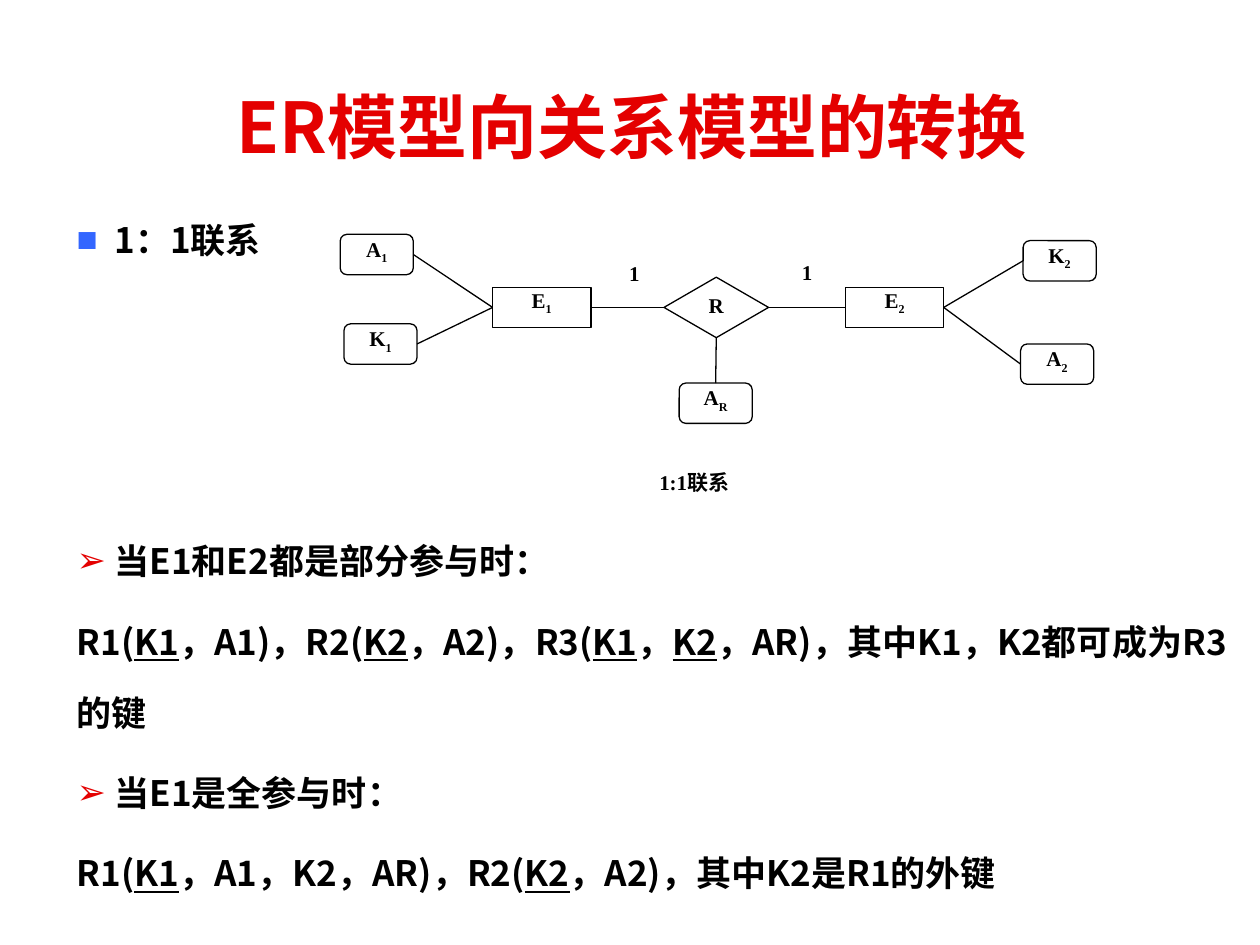
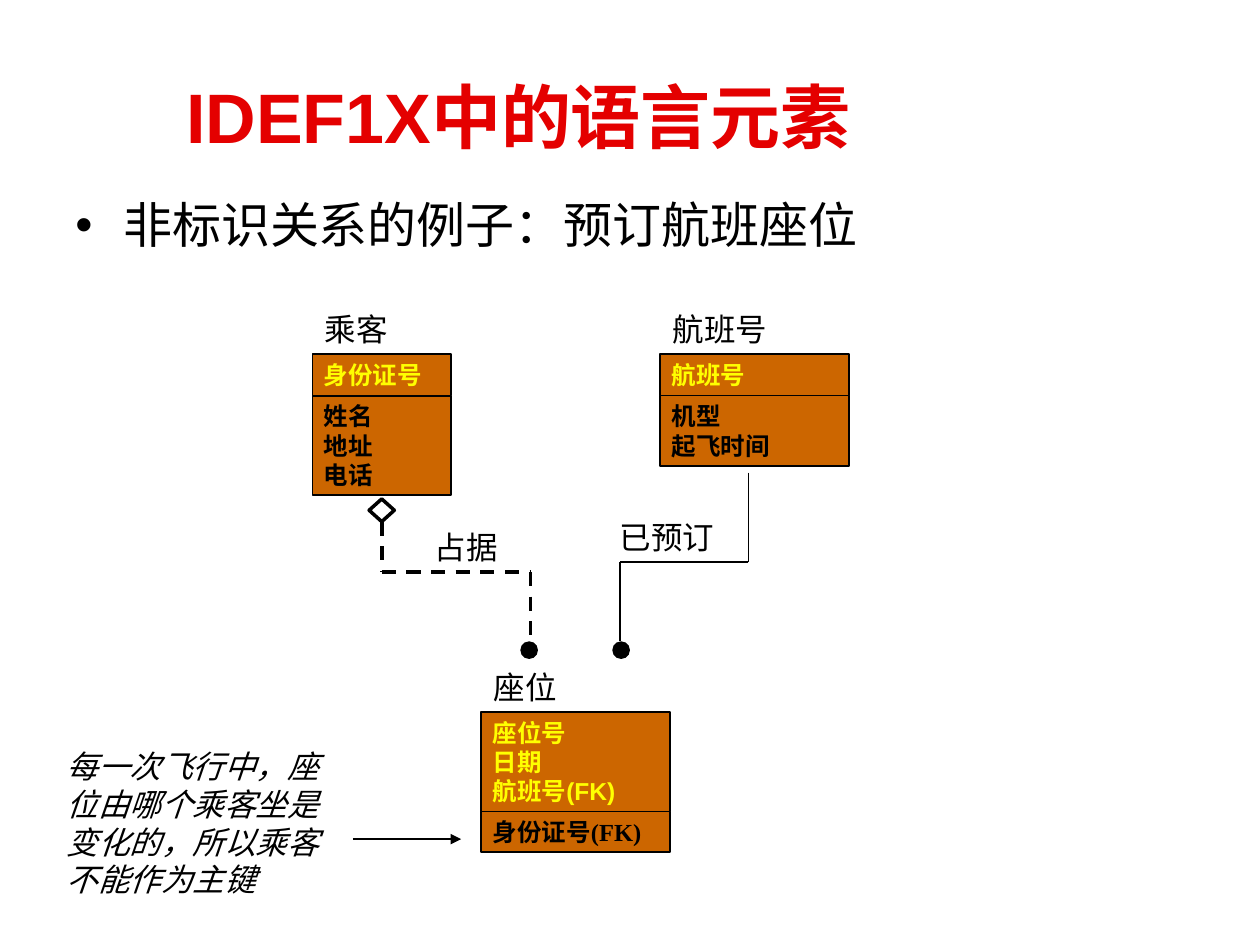
from itertools import pairwise
from lxml import etree
from pptx import Presentation
from pptx.dml.color import RGBColor
from pptx.enum.dml import MSO_LINE_DASH_STYLE as DASH
from pptx.enum.shapes import MSO_CONNECTOR as LINK, MSO_SHAPE as SHAPE
from pptx.enum.text import MSO_ANCHOR as ANCHOR, PP_ALIGN as ALIGN
from pptx.oxml.ns import qn
from pptx.util import Pt

PX = 9144
BLACK = RGBColor(0x00, 0x00, 0x00)
WHITE = RGBColor(0xFF, 0xFF, 0xFF)
RED = RGBColor(0xE4, 0x00, 0x00)
BLUE = RGBColor(0x33, 0x66, 0xFF)
ORANGE = RGBColor(0xCC, 0x66, 0x00)
YELLOW = RGBColor(0xFF, 0xFF, 0x00)
HEAVY = "Noto Sans CJK SC"
SERIF = "Times New Roman"
SANS = "Arial"


def add_box(page, kind, at, lines, size=12, font=SERIF, color=BLACK, bold=False,
            align=ALIGN.LEFT, anchor=ANCHOR.TOP, inset=(10, 5), fill=None,
            outline=None, mark="baseline", mark_value="-25000", bullets=None, indent=0):
    place = [length * PX for length in at]
    if kind is None:
        box = page.shapes.add_textbox(*place)
    else:
        box = page.shapes.add_shape(kind, *place)
        box.shadow.inherit = False
        box.fill.background()
        box.line.fill.background()
        if fill is not None:
            box.fill.solid()
            box.fill.fore_color.rgb = fill
        if outline:
            box.line.color.rgb = BLACK
            box.line.width = Pt(outline)
    frame = box.text_frame
    frame.word_wrap = True
    frame.vertical_anchor = anchor
    frame.margin_left = frame.margin_right = inset[0] * PX
    frame.margin_top = frame.margin_bottom = inset[1] * PX
    frame.text = "\n".join(line.replace("_", "") for line in lines)
    for para, line in zip(frame.paragraphs, lines):
        para.alignment = align
        parts = line.split("_")
        if len(parts) > 1:
            para.text = ""
            for part in parts:
                para.add_run().text = part
        for number, span in enumerate(para.runs):
            span.font.size = Pt(size)
            span.font.name = font
            span.font.bold = bold
            span.font.color.rgb = color
            etree.SubElement(span.font._element, qn("a:ea"), typeface=HEAVY)
            if number % 2:
                span.font._element.set(mark, mark_value)
        if bullets and line in bullets:
            symbol, tint = bullets[line]
            props = para._p.get_or_add_pPr()
            props.set("marL", str(indent * PX))
            props.set("indent", str(-indent * PX))
            holder = etree.SubElement(props, qn("a:buClr"))
            etree.SubElement(holder, qn("a:srgbClr"), val=str(tint))
            etree.SubElement(props, qn("a:buFont"), typeface=SANS)
            etree.SubElement(props, qn("a:buChar"), char=symbol)
    return box


def add_line(page, start, end, width=0.75):
    link = page.shapes.add_connector(LINK.STRAIGHT, *[v * PX for v in (*start, *end)])
    link.line.color.rgb = BLACK
    link.line.width = Pt(width)
    etree.SubElement(link._element.spPr, qn("a:effectLst"))
    return link


deck = Presentation()
deck.slide_width = 1000 * PX
deck.slide_height = 750 * PX
blank = deck.slide_layouts[6]
title_style = dict(size=40, color=RED, bold=True, anchor=ANCHOR.MIDDLE)

page = deck.slides.add_slide(blank)
rules = [
    "1：1联系",
    "当E1和E2都是部分参与时：",
    "R1(_K1_，A1)，R2(_K2_，A2)，R3(_K1_，_K2_，AR)，其中K1，K2都可成为R3的键",
    "当E1是全参与时：",
    "R1(_K1_，A1，K2，AR)，R2(_K2_，A2)，其中K2是R1的外键",
]
body = add_box(page, None, (51, 145, 949, 515), rules, 20, HEAVY, bold=True,
               mark="u", mark_value="sng", indent=30,
               bullets={rules[0]: ("■", BLUE), rules[1]: ("➢", RED), rules[3]: ("➢", RED)})
for para in body.text_frame.paragraphs:
    para.line_spacing = 1.7
    para.space_before = Pt(5)
body.text_frame.paragraphs[1].space_before = Pt(143)

node_style = dict(bold=True, align=ALIGN.CENTER, inset=(0, 0), fill=WHITE)
for label, at in [("1:1联系", (322, 373, 458, 39)),
                  ("1", (494, 207, 19, 32)),
                  ("1", (631, 206, 19, 32))]:
    add_box(page, SHAPE.RECTANGLE, at, [label], **node_style)

nodes = {}
for kind, width, height, places in [
    (SHAPE.RECTANGLE, 78, 32, {"E_1": (391, 228), "E_2": (671, 228)}),
    (SHAPE.DIAMOND, 83, 48, {"R": (527, 220)}),
    (SHAPE.ROUNDED_RECTANGLE, 58, 32, {
        "A_1": (270, 186), "K_1": (273, 257), "A_R": (539, 304),
        "K_2": (812, 191), "A_2": (810, 273)}),
]:
    for label, corner in places.items():
        nodes[label] = add_box(page, kind, (*corner, width, height), [label],
                               outline=0.75, **node_style)

for first, first_side, second, second_side in [
    ("E_1", 3, "R", 1), ("R", 3, "E_2", 1), ("R", 2, "A_R", 0),
    ("A_1", 3, "E_1", 1), ("K_1", 3, "E_1", 1),
    ("E_2", 3, "K_2", 1), ("E_2", 3, "A_2", 1),
]:
    link = add_line(page, (0, 0), (0, 0))
    link.begin_connect(nodes[first], first_side)
    link.end_connect(nodes[second], second_side)

add_box(page, None, (114, 60, 775, 80), ["ER模型向关系模型的转换"], font=HEAVY,
        align=ALIGN.CENTER, **title_style)

page = deck.slides.add_slide(blank)
add_box(page, None, (138, 52, 775, 80), ["IDEF1X中的语言元素"], font=SANS, **title_style)
topic = "非标识关系的例子：预订航班座位"
body = add_box(page, None, (50, 155, 900, 63), [topic], 28, HEAVY,
               bullets={topic: ("•", BLACK)}, indent=38)
body.text_frame.paragraphs[0].line_spacing = 0.9

remark = add_box(page, None, (43, 588, 228, 130),
                 ["每一次飞行中，座位由哪个乘客坐是变化的，所以乘客不能作为主键"], 18, SANS)
remark.text_frame.paragraphs[0].runs[0].font.italic = True

for name, left, top, width, keys, key_height, fields, field_height in [
    ("乘客", 248, 281, 110, ["身份证号"], 33, ["姓名", "地址", "电话"], 79),
    ("航班号", 524, 281, 150, ["航班号"], 33, ["机型", "起飞时间"], 56),
    ("座位", 382, 565, 150, ["座位号", "日期", "航班号(FK)"], 79, ["身份证号(FK)"], 32),
]:
    add_box(page, None, (left, top - 40, 110, 40), [name], 18, SANS)
    for lines, offset, height, color, font in [
        (keys, 0, key_height, YELLOW, SANS),
        (fields, key_height, field_height, BLACK, SERIF),
    ]:
        add_box(page, SHAPE.RECTANGLE, (left, top + offset, width, height), lines, 14,
                font, color, True, anchor=ANCHOR.MIDDLE, inset=(9, 5),
                fill=ORANGE, outline=1)

for relation, at, inset in [("占据", (335, 414, 79, 40), (10, 5)),
                            ("已预订", (492, 406, 94, 40), (0, 5))]:
    add_box(page, None, at, [relation], 18, SANS, inset=inset)

add_box(page, SHAPE.DIAMOND, (293, 396, 20, 18), [], outline=2)
for left in (413, 486):
    add_box(page, SHAPE.OVAL, (left, 509, 14, 14), [], fill=BLACK)

for start, end in pairwise([(303, 414), (303, 454), (421, 454), (421, 509)]):
    add_line(page, start, end, 2).line.dash_style = DASH.DASH
for start, end in pairwise([(594, 375), (594, 446), (492, 446), (492, 509)]):
    add_line(page, start, end)

arrow = add_line(page, (280, 666), (366, 666))
etree.SubElement(arrow.line._get_or_add_ln(), qn("a:tailEnd"), type="triangle")

deck.save("out.pptx")
